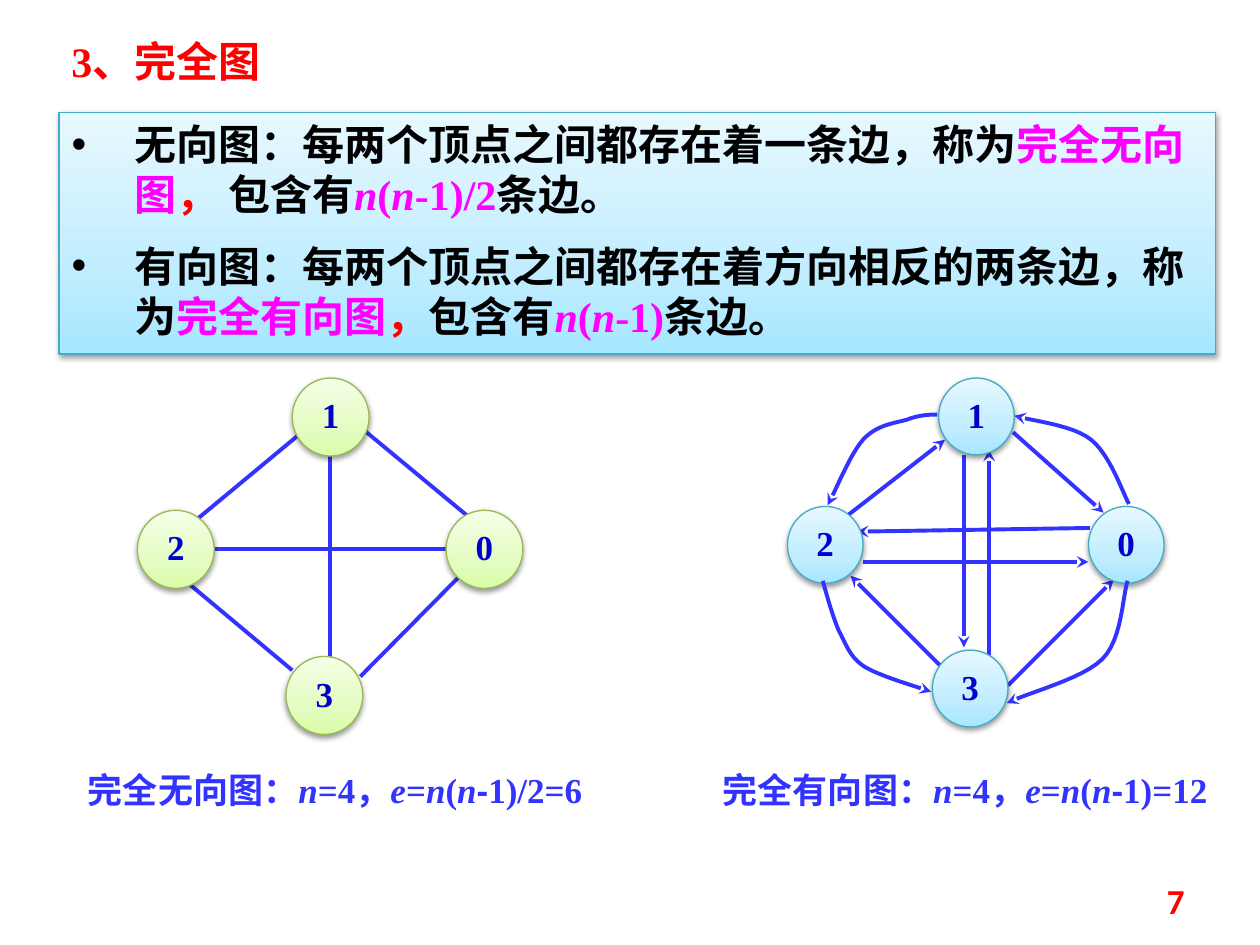
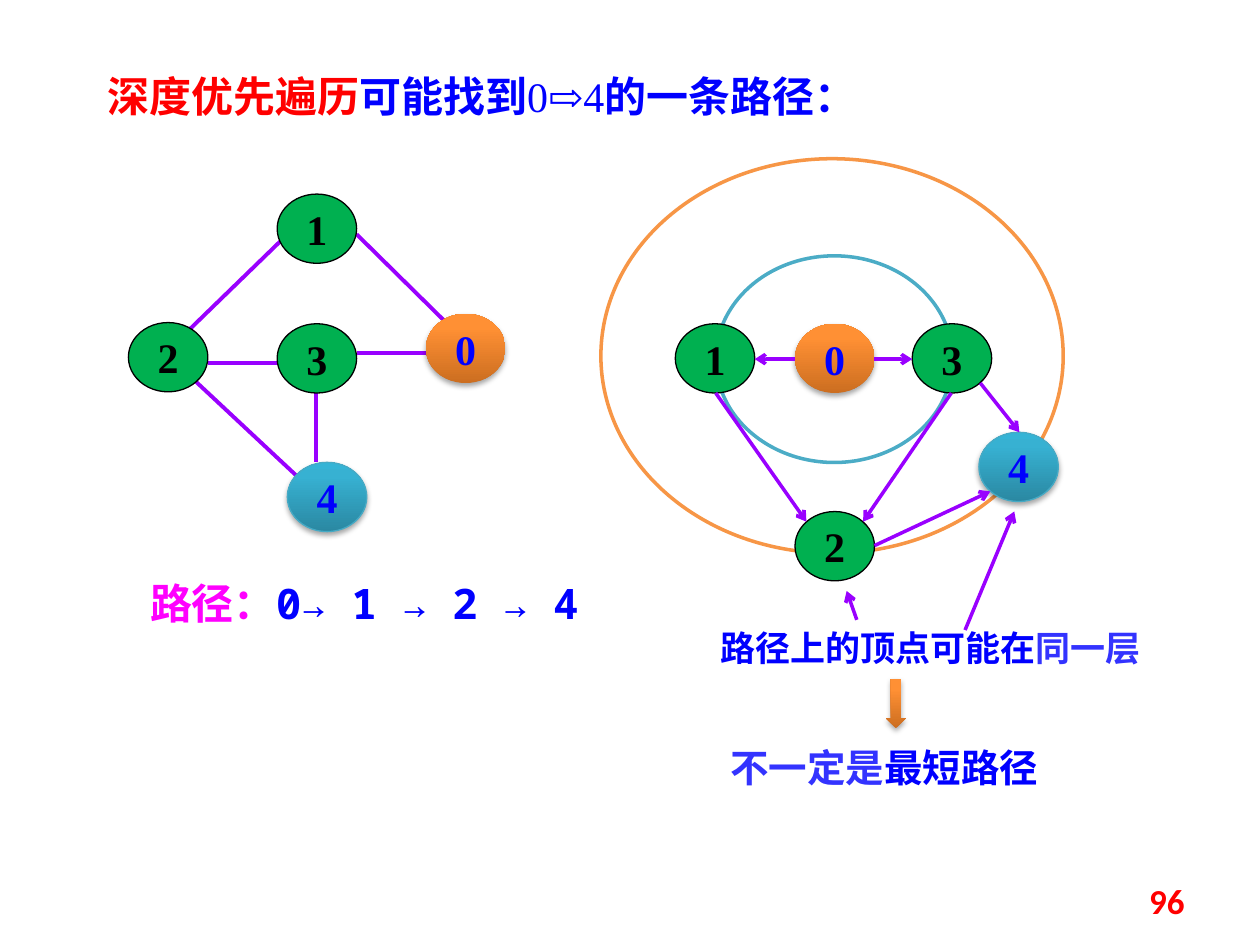
from dataclasses import dataclass
from itertools import groupby

from lxml import etree
from pptx import Presentation
from pptx.dml.color import RGBColor
from pptx.enum import shapes, text
from pptx.oxml import ns
from pptx.util import Pt

SERIF, SANS, MONO = "Times New Roman", "Noto Sans CJK SC", "Noto Sans Mono"
RED, BLUE, MAGENTA, BLACK = "FF0000", "0000FF", "FF00FF", "000000"
EDGE_BLUE, EDGE_PURPLE, NODE_NAVY = "3333FF", "9900FF", "0000CC"


@dataclass
class Span:
    words: str
    color: str
    font: str = SERIF
    italic: bool = False
    bold: bool = True


@dataclass
class Look:
    """Fill (one colour or gradient stops), outline and shadow of a shape."""
    fill: object
    line: str = None
    shadow: tuple = None  # opacity in percent, distance in points


PALE_SHADOW, DEEP_SHADOW = (38, 1.6), (35, 1.8)
PALE_BLUE = Look([(0, "A7E6FF"), (35, "C1EDFF"), (100, "E7F8FF")], "46AAC5", PALE_SHADOW)
PALE_GREEN = Look([(0, "DAFDA7"), (35, "E4FCC2"), (100, "F5FFE7")], "98B955", PALE_SHADOW)
TEAL = Look([(0, "2A88A2"), (80, "37B1D2"), (100, "34B4D6")], "46AAC5", DEEP_SHADOW)
ORANGE = Look([(0, "CC6E20"), (80, "FF9034"), (100, "FF9136")], None, DEEP_SHADOW)
GREEN = Look("00B050", BLACK)


def rgb(code):
    return RGBColor.from_string(code)


def add_xml(parent, tag, **attributes):
    names = {key: str(value) for key, value in attributes.items()}
    return etree.SubElement(parent, ns.qn(tag), names)


def add_gradient(shape, stops):
    """Three-stop gradient running from bottom to top."""
    shape.fill.gradient()
    shape.fill.gradient_angle = 90
    stop_list = shape._element.spPr.find(ns.qn("a:gradFill")).find(ns.qn("a:gsLst"))
    for stop in list(stop_list):
        stop_list.remove(stop)
    for percent, color in stops:
        stop = add_xml(stop_list, "a:gs", pos=percent * 1000)
        add_xml(stop, "a:srgbClr", val=color)


def add_shadow(shape, opacity, distance):
    effects = shape._element.spPr.find(ns.qn("a:effectLst"))
    shadow = add_xml(effects, "a:outerShdw", blurRad=Pt(3.1), dist=Pt(distance),
                     dir=5400000, rotWithShape=0)
    color = add_xml(shadow, "a:srgbClr", val=BLACK)
    add_xml(color, "a:alpha", val=opacity * 1000)


def add_figure(page, preset, left, top, width, height, look, weight=0.75):
    shape = page.shapes.add_shape(preset, Pt(left), Pt(top), Pt(width), Pt(height))
    shape.shadow.inherit = False
    if isinstance(look.fill, str):
        shape.fill.solid()
        shape.fill.fore_color.rgb = rgb(look.fill)
    else:
        add_gradient(shape, look.fill)
    if look.line:
        shape.line.color.rgb = rgb(look.line)
        shape.line.width = Pt(weight)
    else:
        shape.line.fill.background()
    if look.shadow:
        add_shadow(shape, *look.shadow)
    return shape


def add_spans(para, spans, size):
    for span in spans:
        run = para.add_run()
        run.text = span.words
        font = run.font
        font.name, font.size = span.font, Pt(size)
        font.bold, font.italic = span.bold, span.italic
        font.color.rgb = rgb(span.color)
        asian = span.font if span.font == MONO else SANS
        add_xml(font._element, "a:ea", typeface=asian)


def add_text(page, left, top, width, height, spans, size,
             align=text.PP_ALIGN.CENTER, anchor=text.MSO_ANCHOR.TOP):
    box = page.shapes.add_textbox(Pt(left), Pt(top), Pt(width), Pt(height))
    box.text_frame.word_wrap = True
    box.text_frame.vertical_anchor = anchor
    para = box.text_frame.paragraphs[0]
    para.alignment = align
    add_spans(para, spans, size)


def add_page_number(page, number):
    add_text(page, 516, 500.4, 168, 28.8, [Span(number, RED, "Calibri")], 20,
             text.PP_ALIGN.RIGHT, text.MSO_ANCHOR.MIDDLE)


def add_bullets(frame, items, size):
    for index, spans in enumerate(items):
        para = frame.add_paragraph() if index else frame.paragraphs[0]
        para.alignment = text.PP_ALIGN.LEFT
        if index:
            para.space_before = Pt(size / 2)
        properties = para._p.get_or_add_pPr()
        properties.set("marL", str(Pt(36)))
        properties.set("indent", str(Pt(-36)))
        add_xml(properties, "a:buFont", typeface="Arial")
        add_xml(properties, "a:buChar", char="•")
        add_spans(para, spans, size)


def formula(words, color, hyphen_font=SERIF):
    """Spans of a formula, with its letters in italics."""
    pieces = groupby(words, key=lambda char: (char.isalpha(), char == "-"))
    return [Span("".join(chars), color, hyphen_font if hyphen else SERIF, letter)
            for (letter, hyphen), chars in pieces]


def style_line(shape, color, weight, arrow):
    shape.line.color.rgb = rgb(color)
    shape.line.width = Pt(weight)
    if arrow:
        add_xml(shape.line._get_or_add_ln(), "a:tailEnd", type=arrow)


def add_edges(page, edges, color, weight=2.25, arrow=None):
    for ends in edges:
        line = page.shapes.add_connector(shapes.MSO_CONNECTOR.STRAIGHT, *map(Pt, ends))
        style_line(line, color, weight, arrow)
        add_xml(line._element.spPr, "a:effectLst")


def curve_points(start, bends, steps=12):
    """Points along cubic curves; each bend is two handles and an end."""
    for x1, y1, x2, y2, x3, y3 in bends:
        x0, y0 = start
        for step in range(1, steps + 1):
            t = step / steps
            weights = ((1 - t) ** 3, 3 * t * (1 - t) ** 2, 3 * t * t * (1 - t), t ** 3)
            yield tuple(Pt(sum(w * value for w, value in zip(weights, values)))
                        for values in ((x0, x1, x2, x3), (y0, y1, y2, y3)))
        start = x3, y3


def add_curved_arrow(page, start, *bends):
    builder = page.shapes.build_freeform(*map(Pt, start))
    builder.add_line_segments(curve_points(start, bends), close=False)
    curve = builder.convert_to_shape()
    curve.shadow.inherit = False
    curve.fill.background()
    style_line(curve, EDGE_BLUE, 2.25, "stealth")


def add_node(page, label, left, top, width, height, look):
    node = add_figure(page, shapes.MSO_SHAPE.OVAL, left, top, width, height, look)
    para = node.text_frame.paragraphs[0]
    para.alignment = text.PP_ALIGN.CENTER
    return node.text_frame, para


def add_pale_nodes(page, places, width, height, look):
    for label, left, top in places:
        frame, para = add_node(page, label, left, top, width, height, look)
        frame.vertical_anchor = text.MSO_ANCHOR.TOP
        frame.margin_left = frame.margin_right = frame.margin_bottom = 0
        frame.margin_top = Pt(8.6)
        para.line_spacing = 0.72
        add_spans(para, [Span(label, NODE_NAVY)], 20)


def add_strong_nodes(page, places):
    looks = {"0": ORANGE, "4": TEAL}
    for label, left, top in places:
        frame, para = add_node(page, label, left, top, 45.4, 39.6, looks.get(label, GREEN))
        frame.word_wrap = False
        frame.vertical_anchor = text.MSO_ANCHOR.MIDDLE
        add_spans(para, [Span(label, BLUE if label in looks else BLACK)], 24)


def add_caption(page, left, name, equation):
    spans = [Span(name, EDGE_BLUE)] + formula(equation, EDGE_BLUE, "Arial")
    add_text(page, left, 435.6, 303.8, 31.7, spans, 20)


def build_complete_graphs(page):
    definitions = add_figure(page, shapes.MSO_SHAPE.RECTANGLE, 33.8, 64.1, 661, 138.2, PALE_BLUE)
    definitions.text_frame.word_wrap = True
    definitions.text_frame.vertical_anchor = text.MSO_ANCHOR.TOP
    add_bullets(definitions.text_frame, [
        [Span("无向图：每两个顶点之间都存在着一条边，称为", BLACK),
         Span("完全无向图", MAGENTA), Span("， ", RED), Span("包含有", BLACK),
         *formula("n(n-1)/2", MAGENTA), Span("条边。", BLACK)],
        [Span("有向图：每两个顶点之间都存在着方向相反的两条边，称为", BLACK),
         Span("完全有向图", MAGENTA), Span("，", RED), Span("包含有", BLACK),
         *formula("n(n-1)", MAGENTA), Span("条边。", BLACK)],
    ], 24)

    add_edges(page, [
        (173.5, 246.2, 105.8, 302.4), (100.8, 327.6, 167, 383),
        (205.9, 386.6, 265, 326.9), (201.6, 240.5, 269.3, 296.6),
        (100.8, 313.9, 277.2, 313.9), (188.6, 260, 188.6, 394.6),
    ], EDGE_BLUE)
    add_pale_nodes(page, [("1", 167, 216), ("0", 254.9, 291.6), ("2", 78.5, 291.6),
                          ("3", 163.4, 375.1)], 43.9, 44.6, PALE_GREEN)
    add_caption(page, 39.6, "完全无向图：", "n=4，e=n(n-1)/2=6")

    add_edges(page, [
        (550.8, 260, 550.8, 370), (565.2, 388.8, 565.2, 257),
        (622.8, 301.7, 489.6, 303.8), (493.2, 321.1, 622, 321.1),
        (548.6, 391.7, 486, 329), (576, 391.7, 636.5, 331.2),
        (578.9, 247, 630.7, 293), (481.7, 296.6, 540, 251.3),
    ], EDGE_BLUE, arrow="stealth")
    add_pale_nodes(page, [("1", 536.4, 216), ("0", 622, 289.4), ("2", 450, 289.4),
                          ("3", 532.8, 371.5)], 43.2, 43.9, PALE_BLUE)
    add_curved_arrow(page, (644.4, 331.9), (641.5, 339.8, 641.5, 365, 630, 376.6),
                     (618.5, 388.1, 586.8, 396, 575.3, 401.8))
    add_curved_arrow(page, (535.7, 236.9), (532.8, 236.9, 525.6, 236.9, 518.4, 239.8),
                     (511.2, 241.9, 501.1, 242.6, 493.2, 251.3),
                     (486, 259.2, 477.4, 280.8, 473, 288.7))
    add_curved_arrow(page, (470.2, 331.9), (471.6, 337, 475.9, 352.8, 479.5, 360.7),
                     (483.8, 368.6, 485.3, 375.1, 493.9, 380.9),
                     (503.3, 386.6, 524.2, 392.4, 532.1, 395.3))
    add_curved_arrow(page, (645.1, 288), (641.5, 281.5, 634.3, 259.9, 623.5, 251.3),
                     (612.7, 242.6, 589, 240.5, 579.6, 237.6))
    add_caption(page, 399.6, "完全有向图：", "n=4，e=n(n-1)=12")

    add_text(page, 33.8, 16.6, 168.5, 36, [Span("3、完全图", RED)], 24, text.PP_ALIGN.LEFT)
    add_page_number(page, "7")


def build_depth_first_path(page):
    for color, *place in [("F79646", 343.4, 90.7, 264.2, 225.4),
                          ("4BACC6", 409, 146.2, 135.4, 118.1)]:
        add_figure(page, shapes.MSO_SHAPE.OVAL, *place, Look("FFFFFF", color), weight=2)
    add_text(page, 44.6, 36.7, 461.5, 36, [
        Span("深度优先遍历", RED, SANS), Span("可能找到", BLUE, SANS),
        Span("0⇨4", BLUE, bold=False), Span("的一条路径：", BLUE, SANS)], 24)

    add_edges(page, [
        (203.8, 133.9, 254.9, 184.3), (106.6, 213.1, 172.8, 275),
        (160.6, 137.5, 108.7, 187.9), (118.8, 207.4, 164.2, 207.4),
        (180.7, 224.6, 180.7, 264.2), (203.8, 201.6, 249.1, 201.6),
    ], EDGE_PURPLE)
    add_strong_nodes(page, [("1", 158.4, 110.9), ("3", 158.4, 185), ("2", 73.4, 184.3),
                            ("4", 164.2, 264.2), ("0", 243.4, 179.3)])
    add_strong_nodes(page, [("0", 454.3, 185), ("1", 385.9, 185), ("3", 521.3, 185),
                            ("2", 454.3, 292.3), ("4", 559.4, 247)])
    add_edges(page, [
        (499.7, 205.2, 521.3, 205.2), (454.3, 205.2, 431.3, 205.2),
        (409, 224.6, 460.8, 298.1), (543.6, 224.6, 493.2, 298.1),
        (560.2, 218.9, 582.5, 247), (499.7, 311.8, 565.9, 280.8),
        (489.6, 354.2, 483.8, 337.7), (551.5, 360, 579.6, 292.3),
    ], EDGE_PURPLE, 2, "arrow")

    add_text(page, 50.4, 326.2, 315.4, 36, [
        Span("路径：", MAGENTA, MONO), Span("0→ 1 → 2 → 4", BLUE, MONO)], 24)
    add_text(page, 365.8, 354.2, 331.9, 31.7, [
        Span("路径上的顶点可能在", BLUE), Span("同一层", EDGE_BLUE)], 20)
    add_figure(page, shapes.MSO_SHAPE.DOWN_ARROW, 506.2, 388.1, 11.5, 28.1, ORANGE)
    add_text(page, 410.4, 421.9, 208.1, 33.8, [
        Span("不一定是", EDGE_BLUE), Span("最短路径", BLUE)], 22, text.PP_ALIGN.LEFT)
    add_page_number(page, "96")


def main():
    deck = Presentation()
    deck.slide_width, deck.slide_height = Pt(720), Pt(540)
    for build in (build_complete_graphs, build_depth_first_path):
        build(deck.slides.add_slide(deck.slide_layouts[6]))
    deck.save("out.pptx")


if __name__ == "__main__":
    main()
